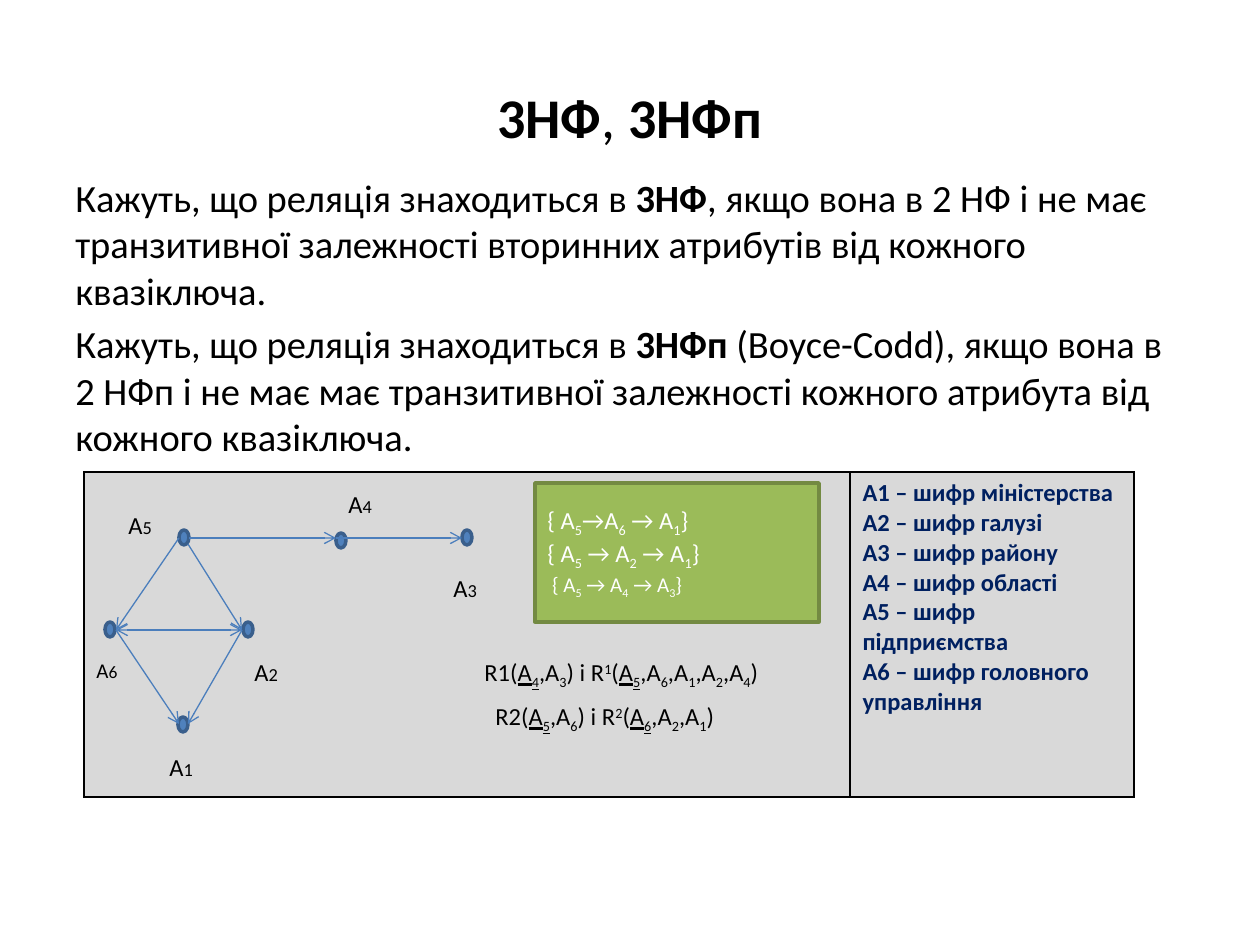
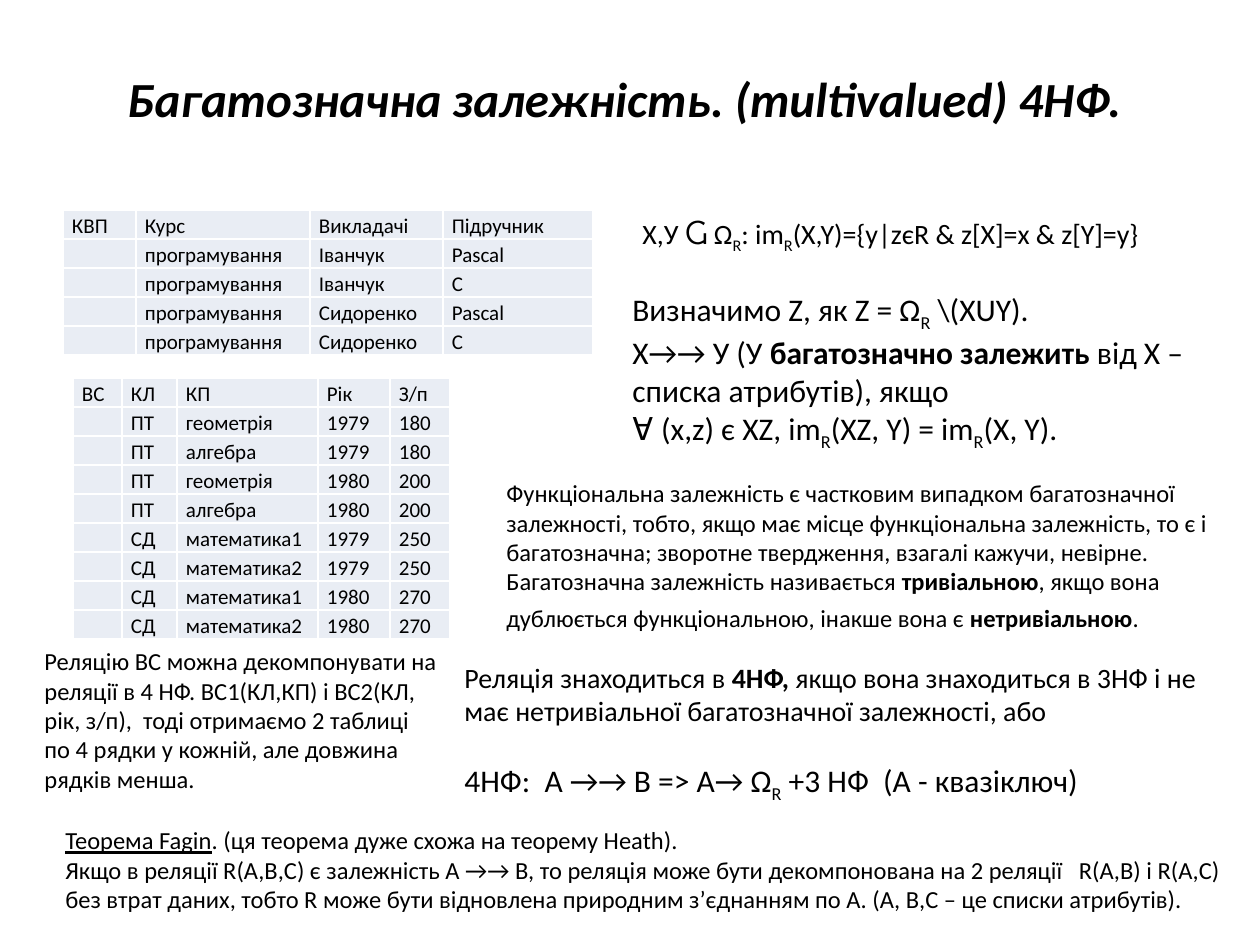
from lxml import etree
from pptx import Presentation
from pptx.dml.color import RGBColor
from pptx.enum.shapes import MSO_CONNECTOR, MSO_SHAPE
from pptx.enum.text import MSO_ANCHOR, PP_ALIGN
from pptx.oxml.ns import qn
from pptx.util import Emu, Pt

PX = 914400 / 126
FONT = "Calibri"
BLACK, WHITE, NAVY = "000000", "FFFFFF", "002060"
GREY, PALE = "D9D9D9", "E9EDF4"
NODE, NODE_LINE, EDGE = "4F81BD", "3A5F8C", "4B7EBC"
GREEN, GREEN_LINE = "9BBB59", "738A42"
NODE_W, NODE_H = 10, 15
MARKS = "*~_^`"  # bold, underline, subscript, superscript, second size


def px(*lengths):
    """Turn pixel lengths into EMU."""
    return [Emu(round(v * PX)) for v in lengths]


def rgb(value):
    """Turn a hex string into a colour."""
    return RGBColor.from_string(value)


def split_marks(text):
    """Yield (piece, active marks); each mark toggles its style."""
    active, piece = set(), ""
    for char in text:
        if char in MARKS:
            if piece:
                yield piece, set(active)
            active ^= {char}
            piece = ""
        else:
            piece += char
    if piece:
        yield piece, active


def write(frame, lines, size, color=BLACK, bold=False, italic=False,
          size2=None, align=PP_ALIGN.LEFT, before=(), spacing=None):
    """Fill a text frame with one marked-up paragraph per line."""
    frame.word_wrap = True
    for i, line in enumerate(lines):
        par = frame.paragraphs[0] if i == 0 else frame.add_paragraph()
        par.alignment = align
        if i < len(before):
            par.space_before = Pt(before[i])
        if spacing:
            par.line_spacing = spacing
        for piece, marks in split_marks(line):
            run = par.add_run()
            run.text = piece
            font = run.font
            font.name, font.size = FONT, Pt(size2 if "`" in marks else size)
            font.color.rgb = rgb(color)
            font.bold = bold or "*" in marks
            font.italic = italic
            if "~" in marks:
                font.underline = True
            if "_" in marks or "^" in marks:
                font._element.set("baseline", "-25000" if "_" in marks else "30000")
        if not line:
            etree.SubElement(par._p, qn("a:endParaRPr"), sz=str(size * 100))


def text_box(slide, box, lines, size, anchor=MSO_ANCHOR.TOP, **style):
    """Place a wrapped text box."""
    frame = slide.shapes.add_textbox(*px(*box)).text_frame
    frame.vertical_anchor = anchor
    write(frame, lines, size, **style)


def title(slide, box, text, size, **style):
    """Place a centred slide title."""
    text_box(slide, box, [text], size, MSO_ANCHOR.MIDDLE,
             align=PP_ALIGN.CENTER, **style)


def solid_shape(slide, kind, box, fill, line):
    """Place a filled preset shape with a 2 pt outline."""
    shape = slide.shapes.add_shape(kind, *px(*box))
    shape.shadow.inherit = False
    shape.fill.solid()
    shape.fill.fore_color.rgb = rgb(fill)
    shape.line.color.rgb = rgb(line)
    shape.line.width = Pt(2)
    return shape


def arrow(slide, start, end, both=False):
    """Draw a thin arrow, with heads on both ends if asked."""
    line = slide.shapes.add_connector(MSO_CONNECTOR.STRAIGHT, *px(*start, *end))
    line.line.color.rgb = rgb(EDGE)
    line.line.width = Pt(0.75)
    outline = line.line._get_or_add_ln()
    for tag in (["a:headEnd"] if both else []) + ["a:tailEnd"]:
        etree.SubElement(outline, qn(tag), type="arrow")
    etree.SubElement(line._element.spPr, qn("a:effectLst"))


def style_cell(cell, fill, border):
    """Fill a cell and give it 1 pt borders on all sides."""
    cell.fill.solid()
    cell.fill.fore_color.rgb = rgb(fill)
    props = cell._tc.get_or_add_tcPr()
    for i, side in enumerate("LRTB"):
        line = etree.Element(qn("a:ln" + side), w="12700")
        paint = etree.SubElement(line, qn("a:solidFill"))
        etree.SubElement(paint, qn("a:srgbClr"), val=border)
        props.insert(i, line)


def new_table(slide, x, y, widths, rows, row_height, fill, border):
    """Place a table of plain cells and return it."""
    box = px(x, y, sum(widths), row_height * rows)
    table = slide.shapes.add_table(rows, len(widths), *box).table
    table.first_row = table.horz_banding = False
    for column, width in zip(table.columns, px(*widths)):
        column.width = width
    for cell in table.iter_cells():
        style_cell(cell, fill, border)
    return table


def data_table(slide, x, y, widths, records):
    """Place a compact pale table of records."""
    table = new_table(slide, x, y, widths, len(records), 27, PALE, WHITE)
    for r, record in enumerate(records):
        for c, value in enumerate(record):
            cell = table.cell(r, c)
            cell.margin_left, cell.margin_right = px(9, 9)
            cell.margin_top = cell.margin_bottom = 0
            write(cell.text_frame, [value], 12, spacing=1.15)


def dependency_graph(slide, x, y):
    """Draw the graph of attributes A1 to A6."""
    nodes = [(95, 58), (252, 61), (378, 58), (159, 150), (21, 150), (94, 245)]
    for dx, dy in nodes:
        solid_shape(slide, MSO_SHAPE.OVAL, (x + dx, y + dy, NODE_W, NODE_H),
                    NODE, NODE_LINE)
    left, right = (32, 158), (158, 158)
    edges = [((105, 66), (252, 66)), ((252, 66), (378, 66)),
             ((95, 66), left), ((104, 72), right),
             (left, (95, 252)), (right, (104, 252)), (left, right)]
    for start, end in edges:
        arrow(slide, (x + start[0], y + start[1]), (x + end[0], y + end[1]),
              both=(start, end) == (left, right))
    labels = [("5", 32, 32, 14, 10.5), ("4", 252, 11, 14, 10.5),
              ("3", 357, 95, 14, 10.5), ("6", 0, 179, 12, 10),
              ("2", 158, 179, 14, 10.5), ("1", 73, 274, 14, 10.5)]
    for digit, dx, dy, size, small in labels:
        text_box(slide, (x + dx, y + dy, 56, 42), [f"A`{digit}`"], size, size2=small)


def example_panel(slide, x, y):
    """Place the grey panel: graph, chains, decompositions and legend."""
    panel = new_table(slide, x, y, [766, 284], 1, 325, GREY, BLACK)
    legend = ["міністерства", "галузі", "району", "області",
              "підприємства", "головного управління"]
    write(panel.cell(0, 1).text_frame,
          [f"А{i} – шифр {name}" for i, name in enumerate(legend, 1)],
          14, color=NAVY, bold=True)
    dependency_graph(slide, x, y)
    chains = solid_shape(slide, MSO_SHAPE.RECTANGLE, (x + 451, y + 11, 284, 139),
                         GREEN, GREEN_LINE)
    chains.text_frame.vertical_anchor = MSO_ANCHOR.MIDDLE
    write(chains.text_frame,
          ["{ А_5_→А_6_ → А_1_}", "{ А_5_ → А_2_ → А_1_}",
           "` { А_5_ → А_4_ → А_3_}`"], 14, color=WHITE, size2=12)
    text_box(slide, (x + 388, y + 179, 357, 42),
             ["R1(~А_4_~,А_3_) i R^1^(~А_5_~,А_6_,А_1_,А_2_,А_4_)"], 14)
    text_box(slide, (x + 399, y + 223, 284, 42),
             ["R2(~А_5_~,А_6_) і R^2^(~А_6_~,А_2_,А_1_)"], 14)


def third_form_slide(slide):
    """Build the slide on the third normal form."""
    title(slide, (63, 38, 1134, 157), "*3НФ*, *3НФп*", 32)
    text_box(slide, (63, 168, 1134, 300), [
        "Кажуть, що реляція знаходиться в *3НФ*, якщо вона в 2 НФ і не має "
        "транзитивної залежності вторинних атрибутів від кожного квазіключа.",
        "Кажуть, що реляція знаходиться в *3НФп *(Boyce-Codd), якщо вона в 2 НФп "
        "і не має має транзитивної залежності кожного атрибута від кожного "
        "квазіключа."], 22, before=(4.4, 4.4))
    example_panel(slide, 84, 472)


def course_tables(slide):
    """Place the two sample relations."""
    courses = [("", "програмування", teacher, book)
               for teacher in ("Іванчук", "Сидоренко") for book in ("Pascal", "C")]
    data_table(slide, 63, 210, [73, 174, 133, 150],
               [("КВП", "Курс", "Викладачі", "Підручник")] + courses)
    staff = [("ПТ", ("геометрія", "алгебра"), (("1979", "180"), ("1980", "200"))),
             ("СД", ("математика1", "математика2"), (("1979", "250"), ("1980", "270")))]
    pay = [("", who, subject, year, sum_paid) for who, subjects, years in staff
           for year, sum_paid in years for subject in subjects]
    data_table(slide, 73, 378, [49, 55, 141, 72, 60],
               [("ВС", "КЛ", "КП", "Рік", "З/п")] + pay)


def definitions(slide):
    """Place the definitions to the right of the tables."""
    text_box(slide, (630, 210, 536, 84),
             ["Х,У \u10ba Ω_R_: im_R_(X,Y)={y|zєR & z[X]=x & z[Y]=y}"], 16)
    text_box(slide, (620, 284, 620, 204), [
        "Визначимо Z, як Z = Ω_R_ \\(XUY).",
        "Х→→ У (У *багатозначно залежить* від Х – списка атрибутів), якщо ",
        "\ua4ef (x,z) є XZ, im_R_(XZ, Y) = im_R_(X, Y)."], 18)
    text_box(slide, (494, 472, 746, 208), [
        "Функціональна залежність є частковим випадком багатозначної залежності, "
        "тобто, якщо має місце функціональна залежність, то є і багатозначна; "
        "зворотне твердження, взагалі кажучи, невірне. ",
        "Багатозначна залежність називається *тривіальною*, якщо вона дублюється "
        "функціональною, інакше вона є *нетривіальною*.` `"], 14, size2=18)
    text_box(slide, (452, 654, 788, 190), [
        "Реляція знаходиться в *4НФ,* якщо вона знаходиться в 3НФ і не має "
        "нетривіальної багатозначної залежності, або ",
        "`4НФ:  A →→ B => A→ Ω_R_ +3 НФ  (А - квазіключ)`"],
        16, size2=18, before=(0, 19.5))


def conclusions(slide):
    """Place the decomposition remark and the closing theorem."""
    text_box(slide, (32, 640, 420, 161), [
        "Реляцію ВС можна декомпонувати на реляції в 4 НФ. ВС1(КЛ,КП) і ВС2(КЛ, "
        "рік, з/п),  тоді отримаємо 2 таблиці по 4 рядки у кожній, але довжина "
        "рядків менша."], 14)
    text_box(slide, (53, 819, 1187, 120), [
        "~Теорема Fagin~. (ця теорема дуже схожа на теорему Heath).",
        "Якщо в реляції R(А,В,С) є залежність A →→ B, то реляція може бути "
        "декомпонована на 2 реляції   R(А,В) і R(А,С) без втрат даних, тобто R "
        "може бути відновлена природним з’єднанням по А. "
        "(А, В,С – це списки атрибутів)."], 14)


def fourth_form_slide(slide):
    """Build the slide on multivalued dependency."""
    title(slide, (63, 38, 1134, 120), "Багатозначна залежність. (multivalued) 4НФ. ",
          28, bold=True, italic=True)
    course_tables(slide)
    definitions(slide)
    conclusions(slide)


def main():
    """Build and save the presentation."""
    deck = Presentation()
    deck.slide_width, deck.slide_height = px(1260, 945)
    for build in (third_form_slide, fourth_form_slide):
        build(deck.slides.add_slide(deck.slide_layouts[6]))
    deck.save("out.pptx")


main()
